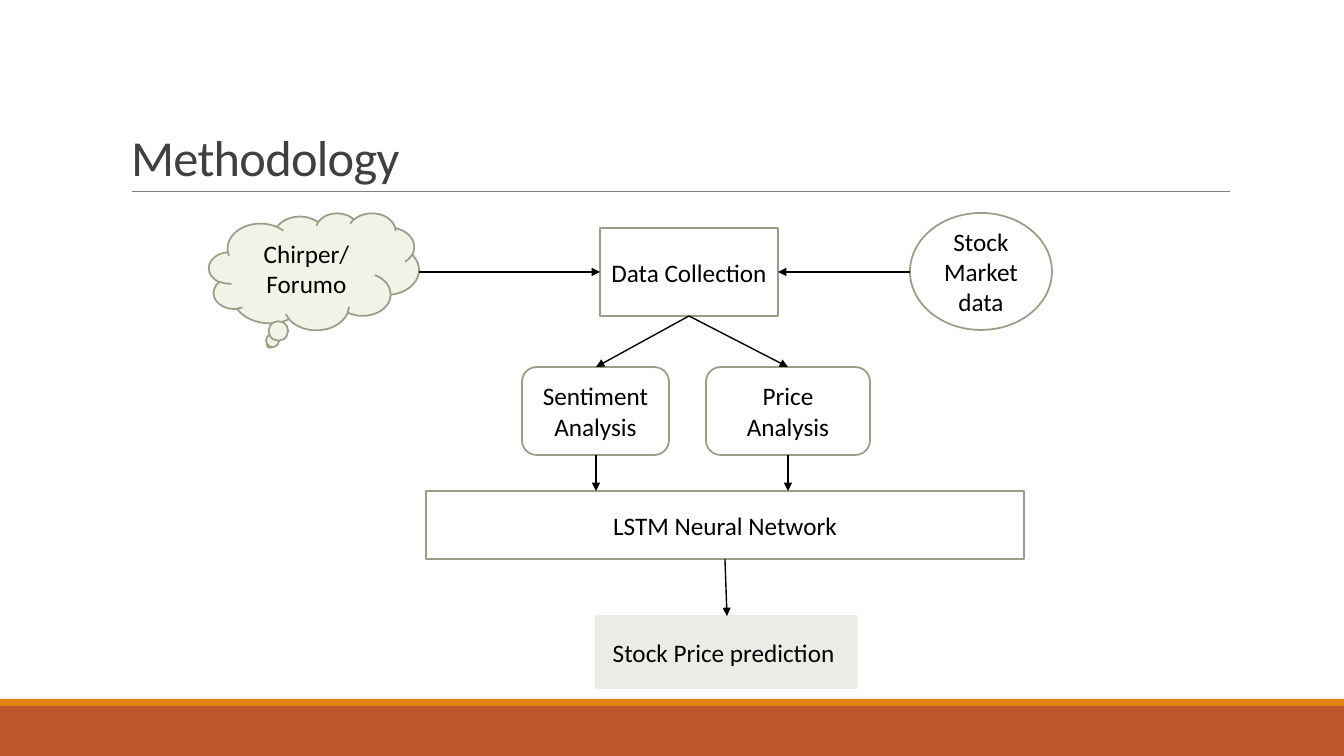
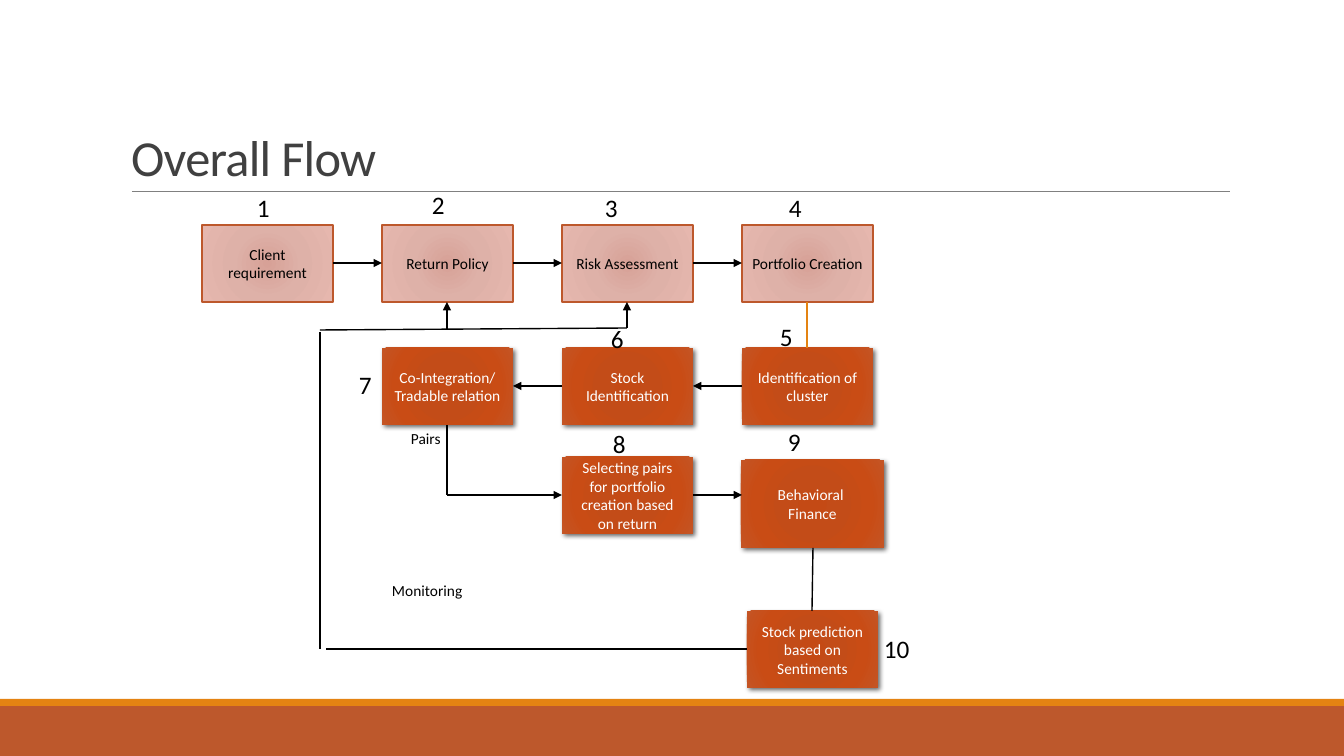
"""Build two slides on stock prediction: the methodology and the overall flow."""
from lxml.etree import SubElement
from pptx import Presentation
from pptx.dml.color import RGBColor
from pptx.enum.shapes import MSO_CONNECTOR, MSO_SHAPE
from pptx.enum.text import MSO_ANCHOR, MSO_AUTO_SIZE, PP_ALIGN
from pptx.oxml.ns import qn
from pptx.util import Pt

EMU_PER_PX = 12192000 / 1344
COLORS = {
    "black": "000000", "white": "FFFFFF", "title": "404040", "rule": "808080",
    "rust": "BD582C", "orange": "E48312", "sage": "94A088",
    "cream": "F3F2E6", "mist": "EAECE7",
}
GRADIENTS = {
    "pale": [(0, "D7A197"), (45, "DEB1A8"), (100, "E6B7AE")],
    "dark": [(0, "C44A15"), (34, "C34C18"), (70, "C94C15"), (100, "C45525")],
}


def set_text(shape, text, size, color, alignment=PP_ALIGN.LEFT):
    """Fill a shape with text and format every run."""
    shape.text_frame.text = text
    for paragraph in shape.text_frame.paragraphs:
        paragraph.alignment = alignment
        for run in paragraph.runs:
            run.font.name = "Calibri"
            run.font.size = Pt(size)
            run.font.color.rgb = RGBColor.from_string(COLORS[color])


def add_line(slide, points, arrow=True, color="black", width=1):
    """Add a straight connector through x1, y1, x2, y2 in px."""
    ends = [round(value * EMU_PER_PX) for value in points]
    connector = slide.shapes.add_connector(MSO_CONNECTOR.STRAIGHT, *ends)
    connector.line.color.rgb = RGBColor.from_string(COLORS[color])
    connector.line.width = Pt(width)
    if arrow:
        SubElement(connector.element.spPr.find(qn("a:ln")), qn("a:tailEnd"), type="triangle")
    SubElement(connector.element.spPr, qn("a:effectLst"))
    return connector


presentation = Presentation()
presentation.slide_width = round(1344 * EMU_PER_PX)
presentation.slide_height = round(756 * EMU_PER_PX)
layout = presentation.slide_layouts[5]
for placeholder in list(layout.placeholders):
    if placeholder.placeholder_format.idx:
        layout.shapes.element.remove(placeholder.element)

slides = []
for title_text in ("Methodology", "Overall Flow"):
    slide = presentation.slides.add_slide(layout)
    title = slide.shapes.title
    title.left, title.top, title.width, title.height = [
        round(value * EMU_PER_PX) for value in (121, 32, 1109, 160)]
    set_text(title, title_text, 36, "title")
    title.text_frame.vertical_anchor = MSO_ANCHOR.BOTTOM
    title.text_frame.auto_size = MSO_AUTO_SIZE.NONE
    title_paragraph = title.text_frame.paragraphs[0]
    title_paragraph.line_spacing = 0.85
    title_paragraph.runs[0].font._element.set("spc", "-50")
    slides.append(slide)
methodology, flow = slides

shared_shapes = [add_line(methodology, (132, 191, 1230, 191), False, "rule", 0.5)]
for top, height, color in ((706, 50, "rust"), (699, 7, "orange")):
    band = methodology.shapes.add_shape(
        MSO_SHAPE.RECTANGLE, 0, round(top * EMU_PER_PX),
        presentation.slide_width, round(height * EMU_PER_PX))
    band.fill.solid()
    band.fill.fore_color.rgb = RGBColor.from_string(COLORS[color])
    band.line.fill.background()
    band.shadow.inherit = False
    shared_shapes.append(band)
for shape in shared_shapes:
    layout.shapes.element.append(shape.element)

method_boxes = [
    (MSO_SHAPE.CLOUD_CALLOUT, (209, 213, 210, 117), "Chirper/Forumo", "cream", "sage"),
    (MSO_SHAPE.RECTANGLE, (600, 228, 178, 88), "Data Collection", "white", "sage"),
    (MSO_SHAPE.OVAL, (910, 213, 142, 117), "Stock Market data", "white", "sage"),
    (MSO_SHAPE.ROUNDED_RECTANGLE, (522, 367, 147, 88), "Sentiment Analysis", "white", "sage"),
    (MSO_SHAPE.ROUNDED_RECTANGLE, (706, 367, 164, 88), "Price Analysis", "white", "sage"),
    (MSO_SHAPE.RECTANGLE, (426, 491, 598, 68), "LSTM Neural Network", "white", "sage"),
    (MSO_SHAPE.RECTANGLE, (596, 616, 261, 72), "Stock Price prediction ", "mist", "mist"),
]
for preset, bounds, text, fill, outline in method_boxes:
    box = methodology.shapes.add_shape(
        preset, *[round(value * EMU_PER_PX) for value in bounds])
    box.fill.solid()
    box.fill.fore_color.rgb = RGBColor.from_string(COLORS[fill])
    box.line.color.rgb = RGBColor.from_string(COLORS[outline])
    box.line.width = Pt(1.25)
    box.shadow.inherit = False
    set_text(box, text, 18, "black", PP_ALIGN.CENTER)

for points in (
    (419, 272, 600, 272), (910, 272, 778, 272),
    (689, 316, 596, 367), (689, 316, 788, 367),
    (596, 455, 596, 491), (788, 455, 788, 491), (725, 559, 727, 616),
):
    add_line(methodology, points)

BOX_WIDTH, BOX_HEIGHT = 131, 77
columns = [202 + 180 * index for index in range(4)]
rows = [225, 348, 457]
grid_stages = [
    (0, 0, "Client requirement"), (1, 0, "Return Policy"),
    (2, 0, "Risk Assessment"), (3, 0, "Portfolio Creation"),
    (1, 1, "Co-Integration/\nTradable relation"), (2, 1, "Stock Identification"),
    (3, 1, "Identification of cluster"),
    (2, 2, "Selecting pairs for portfolio creation based on return"),
]
flow_boxes = [
    ((columns[column], rows[row], BOX_WIDTH, BOX_HEIGHT), text, "dark" if row else "pale")
    for column, row, text in grid_stages
] + [
    ((747, 611, BOX_WIDTH, BOX_HEIGHT), "Stock prediction based on Sentiments", "dark"),
    ((741, 460, 143, 88), "Behavioral \nFinance", "dark"),
]
for bounds, text, style in flow_boxes:
    box = flow.shapes.add_shape(
        MSO_SHAPE.RECTANGLE, *[round(value * EMU_PER_PX) for value in bounds])
    box.fill.gradient()
    gradient = box.element.spPr.find(qn("a:gradFill"))
    for child in list(gradient):
        gradient.remove(child)
    stops = SubElement(gradient, qn("a:gsLst"))
    for position, color in GRADIENTS[style]:
        stop = SubElement(stops, qn("a:gs"), pos=str(position * 1000))
        SubElement(stop, qn("a:srgbClr"), val=color)
    circle = SubElement(gradient, qn("a:path"), path="circle")
    SubElement(circle, qn("a:fillToRect"), {side: "100000" for side in "ltrb"})
    box.shadow.inherit = False
    if style == "pale":
        box.line.color.rgb = RGBColor.from_string(COLORS["rust"])
        box.line.width = Pt(1)
    else:
        box.line.fill.background()
        shadow = SubElement(
            box.element.spPr.find(qn("a:effectLst")), qn("a:outerShdw"),
            blurRad=str(Pt(3.5)), dist=str(Pt(2)), dir="2700000")
        shadow_color = SubElement(shadow, qn("a:srgbClr"), val=COLORS["black"])
        SubElement(shadow_color, qn("a:alpha"), val="60000")
    set_text(box, text, 11, "black" if style == "pale" else "white", PP_ALIGN.CENTER)

first_middle, second_middle, third_middle = [top + BOX_HEIGHT // 2 for top in rows]
centers = [left + BOX_WIDTH // 2 for left in columns]
row_bottoms = [top + BOX_HEIGHT for top in rows]
for left, right in zip(columns, columns[1:]):
    add_line(flow, (left + BOX_WIDTH, first_middle, right, first_middle))
for left, right in zip(columns[1:], columns[2:]):
    add_line(flow, (right, second_middle, left + BOX_WIDTH, second_middle))
for points in (
    (centers[1], third_middle, columns[2], third_middle),
    (columns[2] + BOX_WIDTH, third_middle, columns[3], third_middle),
    (centers[2], 328, centers[2], row_bottoms[0]),
    (centers[1], 329, centers[1], row_bottoms[0]),
):
    add_line(flow, points)
for points in (
    (centers[1], row_bottoms[1], centers[1], third_middle),
    (747, 649, 326, 649), (320, 649, 320, 332),
    (320, 330, centers[2], 328), (813, 548, 812, 611),
):
    add_line(flow, points, arrow=False)
add_line(flow, (centers[3], row_bottoms[0], centers[3], rows[1]), False, "orange")

for left, top, width, text, size in (
    (247, 187, 33, "1", 18), (422, 184, 33, "2", 18), (595, 187, 33, "3", 18),
    (779, 187, 33, "4", 18), (770, 316, 33, "5", 18), (601, 318, 33, "6", 18),
    (349, 364, 33, "7", 18), (603, 423, 33, "8", 18), (778, 421, 33, "9", 18),
    (874, 628, 46, "10", 18), (401, 424, 50, "Pairs", 11), (382, 576, 126, "Monitoring", 11),
):
    height = 40 if size == 18 else 29
    label = flow.shapes.add_textbox(
        *[round(value * EMU_PER_PX) for value in (left, top, width, height)])
    label.text_frame.word_wrap = text == "Monitoring"
    set_text(label, text, size, "black")

presentation.save("out.pptx")
